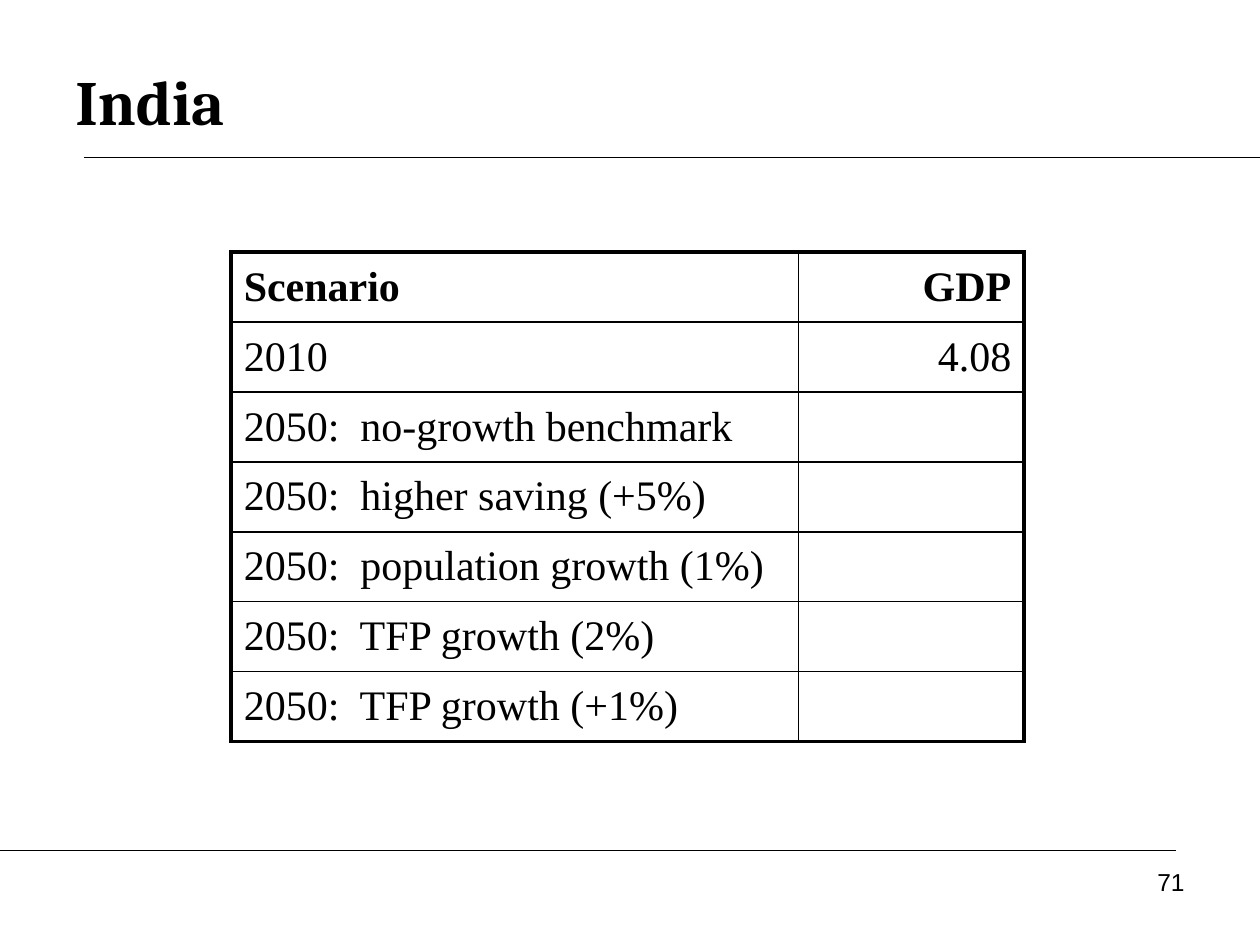
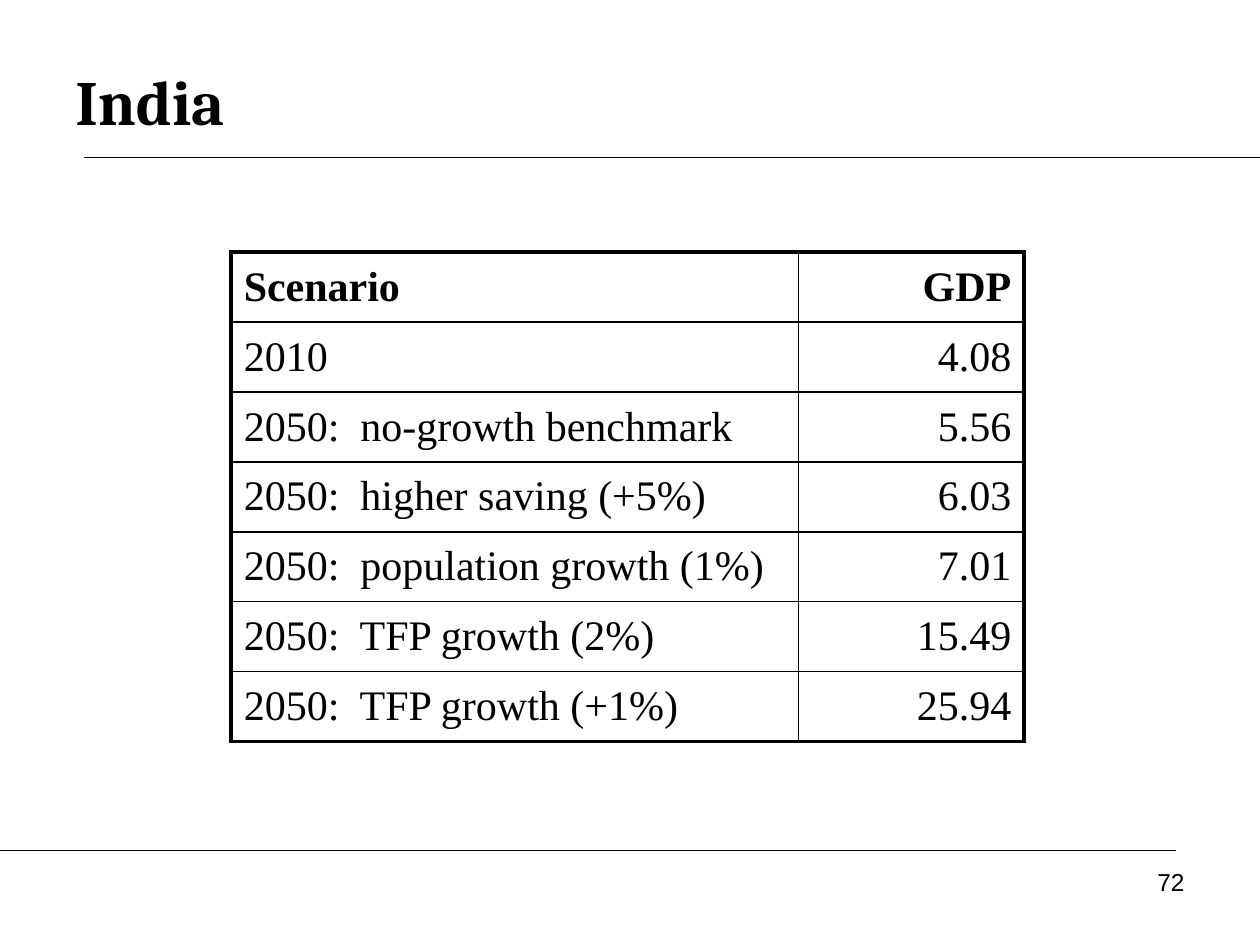
from dataclasses import dataclass

from lxml import etree
from pptx import Presentation
from pptx import util as u
from pptx.dml.color import RGBColor
from pptx.enum import shapes, text
from pptx.oxml import ns


@dataclass(frozen=True)
class Theme:
    ink: str = "000000"
    paper: str = "FFFFFF"
    title_font: str = "Cambria"
    number_font: str = "Arial"
    table_font: str = "Times New Roman"
    title_size: float = 36
    number_size: float = 14
    table_size: float = 24
    rule_width: float = 0.75
    inner_border: float = 1
    outer_border: float = 2.25


THEME = Theme()
SLIDE_WIDTH, SLIDE_HEIGHT = 25.4, 19.05
RULE_INDENT = 1.69
FIRST_PAGE = 71

SCENARIOS = [
    "2010",
    "2050:  no-growth benchmark",
    "2050:  higher saving (+5%)",
    "2050:  population growth (1%)",
    "2050:  TFP growth (2%)",
    "2050:  TFP growth (+1%)",
]
# One list of GDP values per slide; missing values leave empty cells
GDP_BY_SLIDE = [
    ["4.08", "", "", "", "", ""],
    ["4.08", "5.56", "6.03", "7.01", "15.49", "25.94"],
]


# Text
def write_text(frame, content, *, font, size, bold=False,
               align=text.PP_ALIGN.LEFT):
    paragraph = frame.paragraphs[0]
    paragraph.alignment = align
    run = paragraph.add_run()
    run.text = content
    run.font.name = font
    run.font.size = u.Pt(size)
    run.font.bold = bold
    run.font.color.rgb = RGBColor.from_string(THEME.ink)


def add_text(slide, content, left, top, width, height, *,
             anchor=text.MSO_ANCHOR.TOP, **text_format):
    box = slide.shapes.add_textbox(u.Cm(left), u.Cm(top),
                                   u.Cm(width), u.Cm(height))
    box.text_frame.word_wrap = True
    box.text_frame.vertical_anchor = anchor
    write_text(box.text_frame, content, **text_format)


# Horizontal rules
def add_rule(slide, start, end, y):
    rule = slide.shapes.add_connector(shapes.MSO_CONNECTOR.STRAIGHT,
                                      u.Cm(start), u.Cm(y), u.Cm(end), u.Cm(y))
    rule.line.color.rgb = RGBColor.from_string(THEME.ink)
    rule.line.width = u.Pt(THEME.rule_width)
    etree.SubElement(rule._element.spPr, ns.qn("a:effectLst"))


# Table
def set_borders(cell, is_outer):
    properties = cell._tc.get_or_add_tcPr()
    for side in "LRTB":
        width = THEME.outer_border if is_outer[side] else THEME.inner_border
        line = etree.SubElement(properties, ns.qn(f"a:ln{side}"),
                                w=str(u.Pt(width)))
        fill = etree.SubElement(line, ns.qn("a:solidFill"))
        etree.SubElement(fill, ns.qn("a:srgbClr"), val=THEME.ink)


def add_scenario_table(slide, gdp_values):
    rows = [("Scenario", "GDP"), *zip(SCENARIOS, gdp_values)]
    column_widths = [11.44, 4.54]
    row_height = 1.41
    frame = slide.shapes.add_table(
        len(rows), len(column_widths), u.Cm(4.66), u.Cm(5.08),
        u.Cm(sum(column_widths)), u.Cm(row_height * len(rows)))
    table = frame.table
    for column, width in zip(table.columns, column_widths):
        column.width = u.Cm(width)

    last_row, last_column = len(rows) - 1, len(column_widths) - 1
    for r, values in enumerate(rows):
        table.rows[r].height = u.Cm(row_height)
        for c, value in enumerate(values):
            cell = table.cell(r, c)
            cell.vertical_anchor = text.MSO_ANCHOR.MIDDLE
            set_borders(cell, {"L": c == 0, "R": c == last_column,
                               "T": r == 0, "B": r == last_row})
            cell.fill.solid()
            cell.fill.fore_color.rgb = RGBColor.from_string(THEME.paper)
            if value:
                write_text(cell.text_frame, value, font=THEME.table_font,
                           size=THEME.table_size, bold=r == 0,
                           align=text.PP_ALIGN.RIGHT if c else text.PP_ALIGN.LEFT)


# Title, rules and page number shared by all slides
def add_base_slide(presentation, title, page):
    slide = presentation.slides.add_slide(presentation.slide_layouts[6])
    add_rule(slide, RULE_INDENT, SLIDE_WIDTH, 3.17)
    add_rule(slide, 0, SLIDE_WIDTH - RULE_INDENT, 17.14)
    add_text(slide, title, 1.27, 0.85, 22.86, 2.33,
             anchor=text.MSO_ANCHOR.MIDDLE, font=THEME.title_font,
             size=THEME.title_size, bold=True)
    add_text(slide, str(page), 18.2, 17.36, 5.93, 1.32,
             font=THEME.number_font, size=THEME.number_size,
             align=text.PP_ALIGN.RIGHT)
    return slide


def main():
    presentation = Presentation()
    presentation.slide_width = u.Cm(SLIDE_WIDTH)
    presentation.slide_height = u.Cm(SLIDE_HEIGHT)
    for page, gdp_values in enumerate(GDP_BY_SLIDE, start=FIRST_PAGE):
        slide = add_base_slide(presentation, "India", page)
        add_scenario_table(slide, gdp_values)
    presentation.save("out.pptx")


if __name__ == "__main__":
    main()
